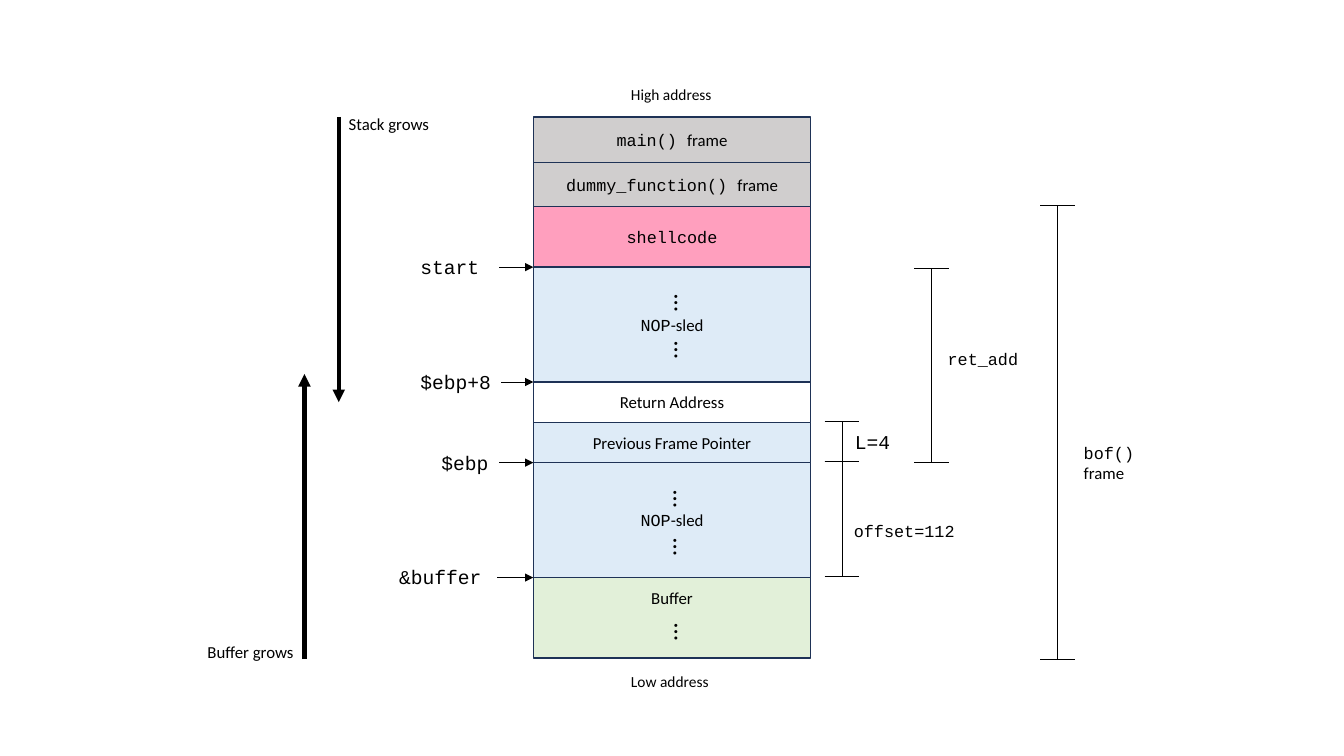
import pptx
import pptx.util
import pptx.dml.color
import pptx.enum.shapes
import pptx.enum.text
import pptx.oxml
import pptx.oxml.ns

Inches = pptx.util.Inches
Pt = pptx.util.Pt
Anchor = pptx.enum.text.MSO_ANCHOR
Align = pptx.enum.text.PP_ALIGN

COLORS = {
    "ink": "000000",
    "border": "1E3256",
    "frame": "D0CECE",
    "shellcode": "FF9FBE",
    "sled": "DEEBF7",
    "buffer": "E2F0D9",
}
SANS, MONO = "Calibri", "Courier New"
STACK_LEFT, STACK_TOP, STACK_WIDTH = 5.29, 1.16, 2.75

SLED = [("NOP", MONO), ("-sled", SANS)]
# height, fill, spans of text
BLOCKS = [
    (0.45, "frame", [("main() ", MONO), ("frame", SANS)]),
    (0.44, "frame", [("dummy_function() ", MONO), ("frame", SANS)]),
    (0.6, "shellcode", [("shellcode", MONO)]),
    (1.14, "sled", SLED),
    (0.4, None, [("Return Address", SANS)]),
    (0.4, "sled", [("Previous Frame Pointer", SANS)]),
    (1.14, "sled", SLED),
]
BUFFER_HEIGHT = 0.8

# text, label left, label width, arrow start, address height
POINTERS = [
    ("start", 4.07, 0.89, 4.95, 2.65),
    ("$ebp+8", 4.07, 0.91, 4.97, 3.79),
    ("$ebp", 4.28, 0.67, 4.95, 4.59),
    ("&buffer", 3.86, 1.07, 4.93, 5.73),
]
# centre, top, bottom
BRACKETS = [
    (8.35, 4.18, 4.58),
    (8.35, 4.58, 5.72),
    (9.24, 2.66, 4.59),
    (10.49, 2.04, 6.54),
]
# text, font, size, left, top, width, height
LABELS = [
    ("High address", SANS, 11, 6.16, 0.79, 1.01, 0.29),
    ("Low address", SANS, 11, 6.16, 6.62, 0.98, 0.29),
    ("Stack grows", SANS, 12, 3.36, 1.08, 1.01, 0.3),
    ("Buffer grows", SANS, 12, 1.96, 6.32, 1.07, 0.3),
    ("L=4", MONO, 14, 8.38, 4.22, 0.55, 0.34),
    ("offset=112", MONO, 12, 8.37, 5.12, 1.22, 0.3),
    ("ret_add", MONO, 12, 9.3, 3.41, 0.91, 0.3),
]
# left, top
ELLIPSES = [(6.49, 2.82), (6.49, 3.29), (6.48, 4.77), (6.48, 5.24), (6.49, 6.09)]


def rgb(name):
    return pptx.dml.color.RGBColor.from_string(COLORS[name])


class Diagram:
    def __init__(self, page):
        self.page = page

    def add_spans(self, para, spans, size):
        para.font.size = Pt(size)
        para.font.color.rgb = rgb("ink")
        for text, font in spans:
            span = para.add_run()
            span.text = text
            span.font.name = font

    def block(self, top, height, fill, spans):
        box = self.page.shapes.add_shape(
            pptx.enum.shapes.MSO_SHAPE.RECTANGLE,
            Inches(STACK_LEFT), Inches(top), Inches(STACK_WIDTH), Inches(height))
        box.shadow.inherit = False
        if fill:
            box.fill.solid()
            box.fill.fore_color.rgb = rgb(fill)
        else:
            box.fill.background()
        box.line.color.rgb = rgb("border")
        box.line.width = Pt(1)
        frame = box.text_frame
        frame.vertical_anchor = Anchor.MIDDLE
        frame.paragraphs[0].alignment = Align.CENTER
        self.add_spans(frame.paragraphs[0], spans, 12)
        return frame

    def label(self, lines, size, left, top, width, height):
        """Add a text box; lines holds one list of (text, font) per paragraph."""
        box = self.page.shapes.add_textbox(
            Inches(left), Inches(top), Inches(width), Inches(height))
        frame = box.text_frame
        frame.word_wrap = False
        frame.auto_size = pptx.enum.text.MSO_AUTO_SIZE.SHAPE_TO_FIT_TEXT
        for index, spans in enumerate(lines):
            para = frame.add_paragraph() if index else frame.paragraphs[0]
            self.add_spans(para, spans, size)
        return frame

    def ellipsis(self, left, top):
        frame = self.label([[("…", SANS)]], 18, left, top, 0.5, 0.27)
        frame._txBody.bodyPr.set("vert", "vert")

    def line(self, start, end, width=0.5, arrow=False):
        connector = self.page.shapes.add_connector(
            pptx.enum.shapes.MSO_CONNECTOR.STRAIGHT,
            *(Inches(value) for value in (*start, *end)))
        connector.line.color.rgb = rgb("ink")
        connector.line.width = Pt(width)
        if arrow:
            tail = pptx.oxml.parse_xml(
                f'<a:tailEnd {pptx.oxml.ns.nsdecls("a")} type="triangle"/>')
            connector.line._get_or_add_ln().append(tail)
        connector._element.spPr.append(
            pptx.oxml.parse_xml(f'<a:effectLst {pptx.oxml.ns.nsdecls("a")}/>'))

    def bracket(self, center, top, bottom, half_cap=0.17):
        for height in (top, bottom):
            self.line((center - half_cap, height), (center + half_cap, height))
        self.line((center, top), (center, bottom))


def main():
    deck = pptx.Presentation()
    deck.slide_width, deck.slide_height = Inches(13.33), Inches(7.5)
    diagram = Diagram(deck.slides.add_slide(deck.slide_layouts[6]))

    top = STACK_TOP
    for height, fill, spans in BLOCKS:
        diagram.block(top, height, fill, spans)
        top += height
    buffer_text = diagram.block(top, BUFFER_HEIGHT, "buffer", [("Buffer", SANS)])
    buffer_text.vertical_anchor = Anchor.TOP
    buffer_text.margin_top = Inches(0.1)

    for position in ELLIPSES:
        diagram.ellipsis(*position)
    for text, left, width, arrow_left, height in POINTERS:
        diagram.label([[(text, MONO)]], 14, left, height - 0.17, width, 0.34)
        diagram.line((arrow_left, height), (STACK_LEFT, height), arrow=True)
    for bracket in BRACKETS:
        diagram.bracket(*bracket)
    for text, font, size, *place in LABELS:
        diagram.label([[(text, font)]], size, *place)
    diagram.label([[("bof()", MONO)], [("frame", SANS)]], 12, 10.65, 4.34, 0.71, 0.5)

    diagram.line((3.36, 1.16), (3.36, 3.99), 3, arrow=True)
    diagram.line((3.02, 6.54), (3.02, 3.71), 3, arrow=True)
    deck.save("out.pptx")


if __name__ == "__main__":
    main()
